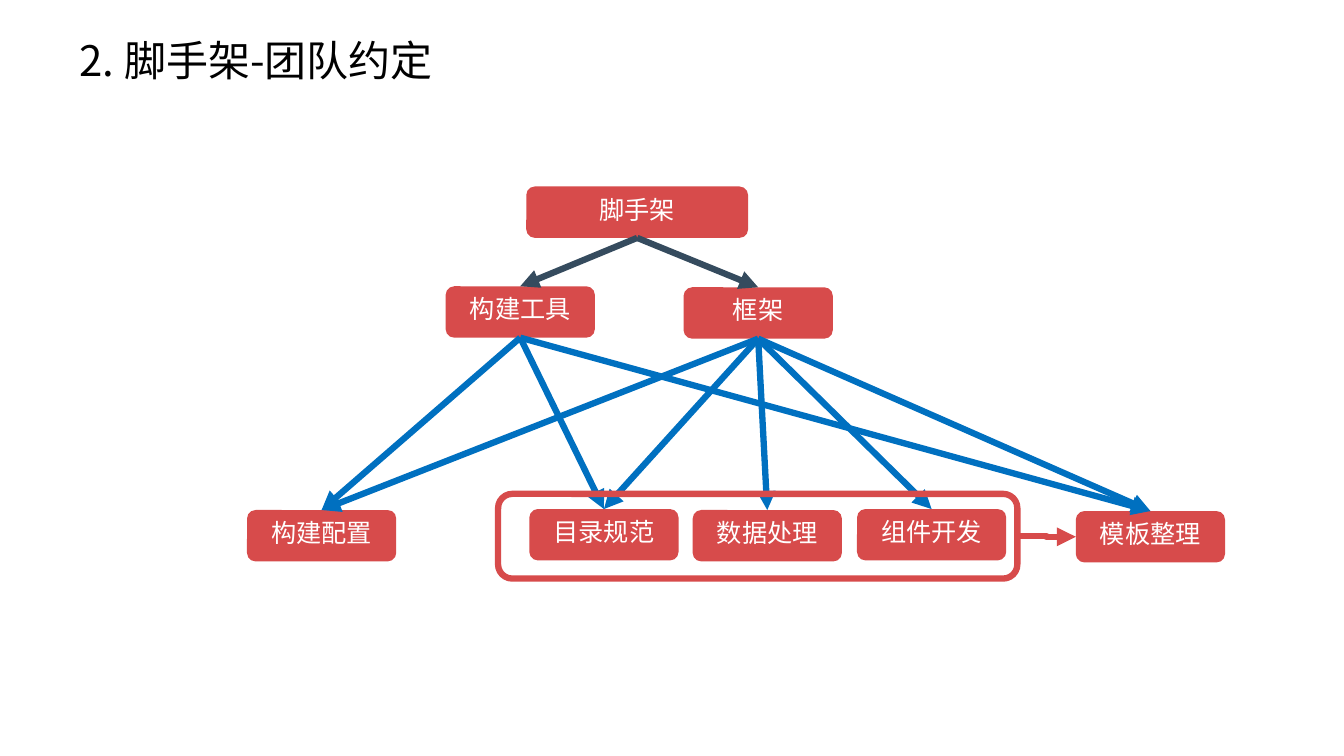
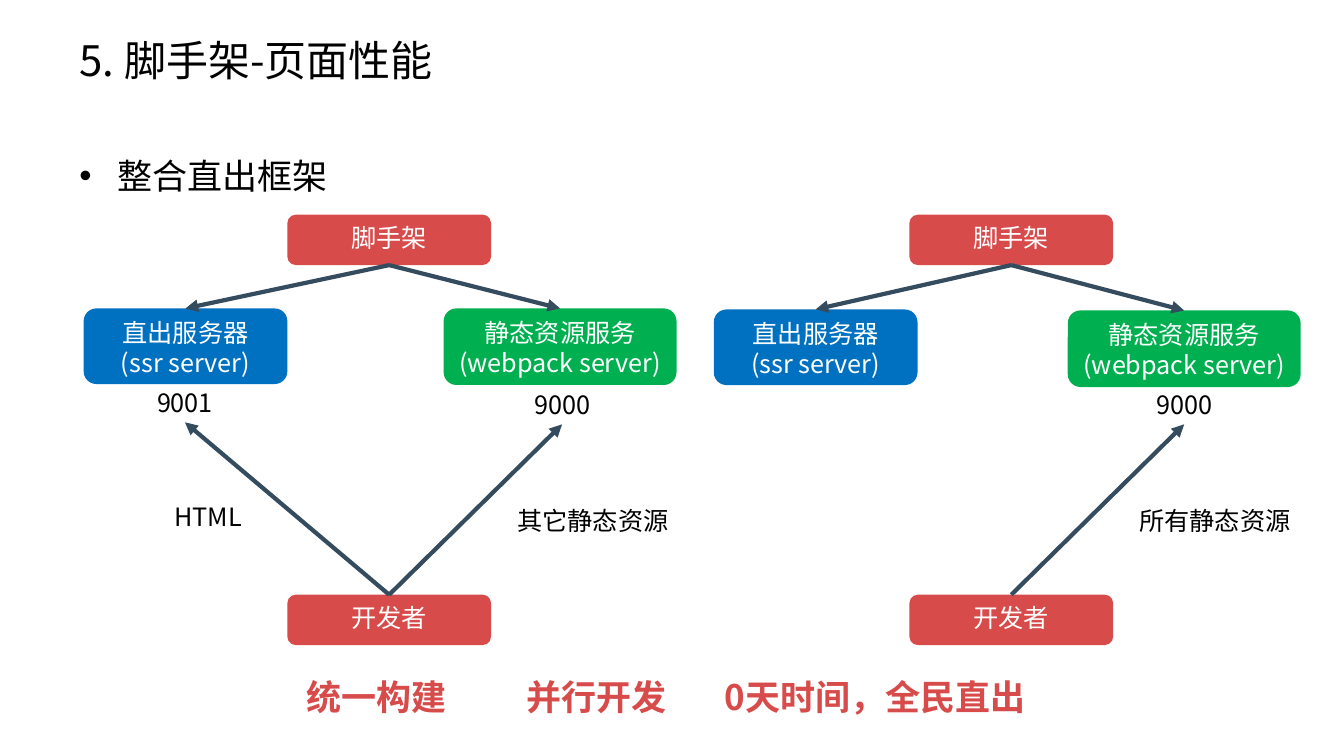
from dataclasses import dataclass

from lxml import etree
from pptx import Presentation
from pptx.dml.color import RGBColor
from pptx.enum.shapes import MSO_CONNECTOR, MSO_SHAPE
from pptx.enum.text import MSO_ANCHOR, MSO_AUTO_SIZE, PP_ALIGN
from pptx.oxml.ns import qn
from pptx.util import Inches, Pt

ROUNDED = MSO_SHAPE.ROUNDED_RECTANGLE
STRAIGHT, ELBOW = MSO_CONNECTOR.STRAIGHT, MSO_CONNECTOR.ELBOW
LEFT, CENTER = PP_ALIGN.LEFT, PP_ALIGN.CENTER
TOP_SITE, LEFT_SITE, BOTTOM_SITE, RIGHT_SITE = range(4)


@dataclass(frozen=True)
class Theme:
    red: RGBColor = RGBColor.from_string("D74B4B")
    blue: RGBColor = RGBColor.from_string("0070C0")
    green: RGBColor = RGBColor.from_string("00B050")
    slate: RGBColor = RGBColor.from_string("354B5E")
    black: RGBColor = RGBColor.from_string("000000")
    white: RGBColor = RGBColor.from_string("FFFFFF")
    font: str = "Noto Sans CJK SC"
    node_font: str = "Lato"
    title_size: int = 30
    lead_size: int = 25
    label_size: int = 18
    thick_line: float = 4.5
    thin_line: float = 3


THEME = Theme()


def write(shape, text, size=THEME.label_size, color=THEME.black, align=CENTER,
          anchor=MSO_ANCHOR.TOP, bold=False, font=THEME.font, fill=None):
    """Set and format the text; with a fill, also make the shape a flat block."""
    if fill is not None:
        shape.shadow.inherit = False
        shape.fill.solid()
        shape.fill.fore_color.rgb = fill
        shape.line.fill.background()
    frame = shape.text_frame
    frame.word_wrap = True
    frame.auto_size = MSO_AUTO_SIZE.NONE
    frame.vertical_anchor = anchor
    frame.text = text
    for paragraph in frame.paragraphs:
        paragraph.alignment = align
        for run in paragraph.runs:
            run.font.size = Pt(size)
            run.font.bold = bold
            run.font.color.rgb = color
            run.font.name = font
            east_asian = etree.SubElement(run.font._element, qn("a:ea"))
            east_asian.set("typeface", THEME.font)


def link(slide, start, end, color, width, sites=(BOTTOM_SITE, TOP_SITE), kind=STRAIGHT):
    """Glue an arrow from one shape to another."""
    arrow = slide.shapes.add_connector(kind, 0, 0, 0, 0)
    arrow.begin_connect(start, sites[0])
    arrow.end_connect(end, sites[1])
    arrow.line.color.rgb = color
    arrow.line.width = Pt(width)
    etree.SubElement(arrow.line._get_or_add_ln(), qn("a:tailEnd"), type="triangle")
    etree.SubElement(arrow._element.spPr, qn("a:effectLst"))


prs = Presentation()
prs.slide_width, prs.slide_height = Inches(13.33), Inches(7.5)
title_only = prs.slide_layouts[5]

slides = []
for heading in ("2. 脚手架-团队约定", "5. 脚手架-页面性能"):
    slide = prs.slides.add_slide(title_only)
    title = slide.shapes.title
    title.left, title.top = Inches(0.69), Inches(0.3)
    title.width, title.height = Inches(8.62), Inches(0.58)
    write(title, heading, THEME.title_size, align=LEFT, anchor=MSO_ANCHOR.MIDDLE)
    slides.append(slide)
conventions, performance = slides

# Team conventions: a tree of topics
nodes = {}
for topic, left, top, width in (
    ("脚手架", 5.22, 1.85, 2.2),
    ("构建工具", 4.42, 2.84, 1.48),
    ("框架", 6.78, 2.85, 1.48),
    ("构建配置", 2.45, 5.06, 1.48),
    ("目录规范", 5.25, 5.05, 1.48),
    ("数据处理", 6.87, 5.06, 1.48),
    ("组件开发", 8.5, 5.05, 1.48),
    ("模板整理", 10.67, 5.07, 1.48),
):
    node = conventions.shapes.add_shape(
        ROUNDED, Inches(left), Inches(top), Inches(width), Inches(0.51))
    write(node, topic, color=THEME.white, font=THEME.node_font, fill=THEME.red)
    nodes[topic] = node

for parent, children, color in (
    ("脚手架", ("构建工具", "框架"), THEME.slate),
    ("框架", ("目录规范", "数据处理", "组件开发", "模板整理", "构建配置"), THEME.blue),
    ("构建工具", ("目录规范", "模板整理", "构建配置"), THEME.blue),
):
    for child in children:
        link(conventions, nodes[parent], nodes[child], color, THEME.thick_line)

template_scope = conventions.shapes.add_shape(
    ROUNDED, Inches(4.94), Inches(4.9), Inches(5.15), Inches(0.84))
template_scope.shadow.inherit = False
template_scope.fill.background()
template_scope.line.color.rgb = THEME.red
template_scope.line.width = Pt(THEME.thick_line)
link(conventions, template_scope, nodes["模板整理"], THEME.red, THEME.thick_line,
     (RIGHT_SITE, LEFT_SITE), ELBOW)

# Page performance: two server set-ups side by side
for shift, ssr_at, webpack_at, resources, has_page_port in (
    (0, (0.83, 3.06), (4.4, 3.06), "其它静态资源", True),
    (6.17, (7.08, 3.07), (10.59, 3.08), "所有静态资源", False),
):
    blocks = []
    for text, (left, top), width, height, fill in (
        ("脚手架", (2.85 + shift, 2.13), 2.02, 0.5, THEME.red),
        ("直出服务器\n(ssr server)", ssr_at, 2.02, 0.75, THEME.blue),
        ("静态资源服务\n(webpack server)", webpack_at, 2.31, 0.76, THEME.green),
        ("开发者", (2.85 + shift, 5.9), 2.02, 0.5, THEME.red),
    ):
        block = performance.shapes.add_shape(
            ROUNDED, Inches(left), Inches(top), Inches(width), Inches(height))
        write(block, text, color=THEME.white, fill=fill)
        blocks.append(block)
    scaffold, ssr_server, webpack_server, developer = blocks

    labels = [("9000", 4.77, 3.81, 1.61, CENTER), (resources, 4.8, 4.96, 2.16, CENTER)]
    if has_page_port:
        labels += [("9001", 1.03, 3.79, 1.61, CENTER), ("HTML", 1.63, 4.92, 1.43, LEFT)]
    ports = []
    for text, left, top, width, align in labels:
        label = performance.shapes.add_textbox(
            Inches(left + shift), Inches(top), Inches(width), Inches(0.4))
        write(label, text, align=align)
        if text.isdigit():
            ports.append(label)

    for server in (ssr_server, webpack_server):
        link(performance, scaffold, server, THEME.slate, THEME.thin_line)
    for port in ports:
        link(performance, developer, port, THEME.slate, THEME.thin_line,
             (TOP_SITE, BOTTOM_SITE))

lead = performance.shapes.add_textbox(
    Inches(0.69), Inches(1.28), Inches(11.76), Inches(0.66))
write(lead, "整合直出框架", THEME.lead_size, align=LEFT)
lead_line = lead.text_frame.paragraphs[0]
lead_line.line_spacing = 1.5
bullet = lead_line._p.get_or_add_pPr()
bullet.set("marL", str(Inches(0.38)))
bullet.set("indent", str(-Inches(0.38)))
etree.SubElement(bullet, qn("a:buFont"), typeface="Arial")
etree.SubElement(bullet, qn("a:buChar"), char="•")

for benefit, left, width in (
    ("统一构建", 2.74, 1.99),
    ("并行开发", 4.92, 1.99),
    ("0天时间，全民直出", 6.96, 3.44),
):
    slogan = performance.shapes.add_textbox(
        Inches(left), Inches(6.65), Inches(width), Inches(0.52))
    write(slogan, benefit, THEME.lead_size, THEME.red, bold=True)

prs.save("out.pptx")
